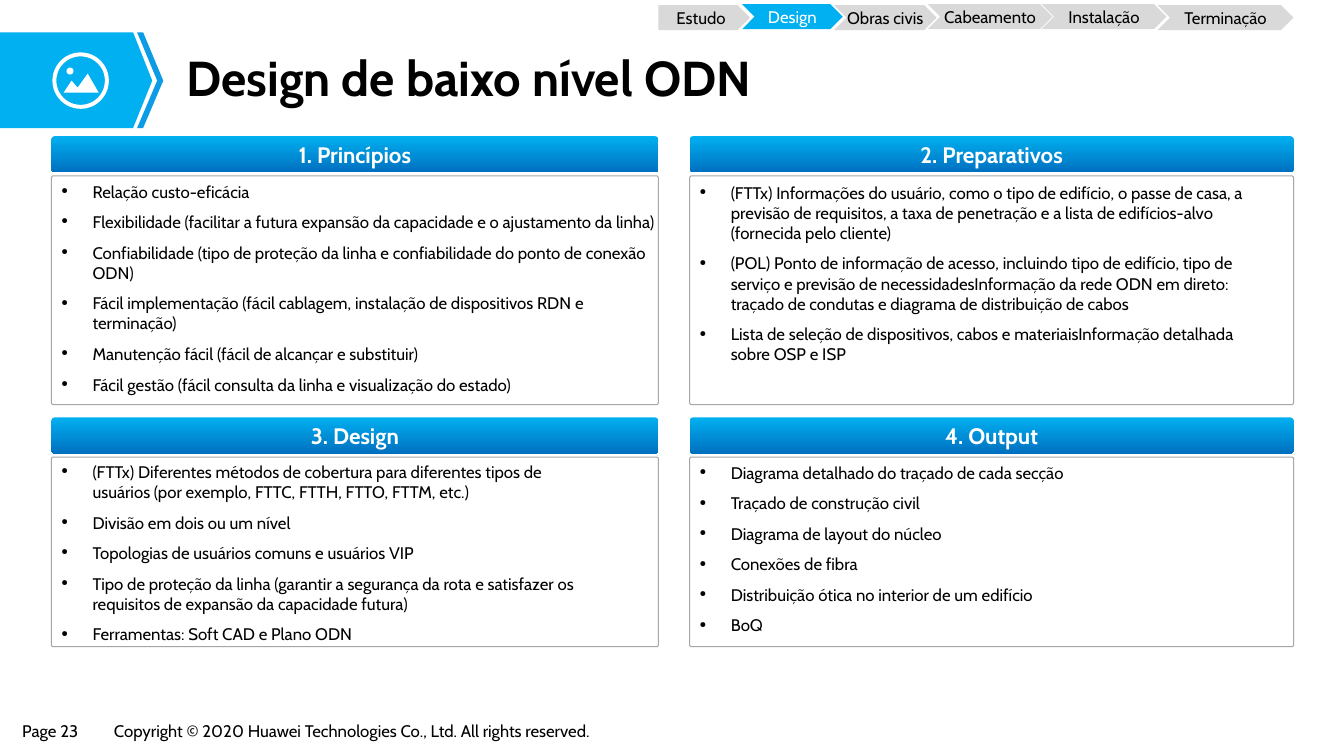
from dataclasses import dataclass

import pptx
import pptx.dml.color
import pptx.enum.shapes
import pptx.enum.text
import pptx.oxml
import pptx.oxml.ns
import pptx.util

Inches = pptx.util.Inches
Pt = pptx.util.Pt
SHAPE = pptx.enum.shapes.MSO_SHAPE
ALIGN = pptx.enum.text.PP_ALIGN
ANCHOR = pptx.enum.text.MSO_ANCHOR


@dataclass(frozen=True)
class Theme:
    font: str = "Cabin"
    black: str = "000000"
    white: str = "FFFFFF"
    cyan: str = "00B0F0"
    stripe: str = "0B9CE5"
    deep_blue: str = "0070C0"
    step_grey: str = "D9D9D9"
    border: str = "A6A6A6"
    title: float = 35
    heading: float = 16
    body: float = 12


@dataclass(frozen=True)
class Step:
    label: str
    left: float
    top: float
    width: float
    active: bool = False


@dataclass(frozen=True)
class Panel:
    heading: str
    column: int
    row: int
    text_top: float
    text_width: float
    items: tuple[str, ...]


THEME = Theme()
COLUMNS = ((0.51, 6.02), (6.84, 5.99))  # left, width
ROWS = ((1.35, 2.27), (4.14, 1.88))  # heading top, frame height
HEADING_HEIGHT = 0.36

STEPS = (
    Step("Estudo", 6.53, 0.05, 0.91),
    Step("Design", 7.36, 0.04, 1.0, active=True),
    Step("Obras civis", 8.27, 0.05, 1.02),
    Step("Cabeamento", 9.2, 0.04, 1.24),
    Step("Instalação", 10.33, 0.04, 1.24),
    Step("Terminação", 11.48, 0.05, 1.35),
)

PANELS = (
    Panel("1. Princípios", 0, 0, 1.75, 6.15, (
        "Relação custo-eficácia",
        "Flexibilidade (facilitar a futura expansão da capacidade e o ajustamento da linha)",
        "Confiabilidade (tipo de proteção da linha e confiabilidade do ponto de conexão ODN)",
        "Fácil implementação (fácil cablagem, instalação de dispositivos RDN e terminação)",
        "Manutenção fácil (fácil de alcançar e substituir)",
        "Fácil gestão (fácil consulta da linha e visualização do estado)",
    )),
    Panel("2. Preparativos", 1, 0, 1.76, 5.84, (
        "(FTTx) Informações do usuário, como o tipo de edifício, o passe de casa, a previsão "
        "de requisitos, a taxa de penetração e a lista de edifícios-alvo (fornecida pelo cliente)",
        "(POL) Ponto de informação de acesso, incluindo tipo de edifício, tipo de serviço e "
        "previsão de necessidadesInformação da rede ODN em direto: traçado de condutas e "
        "diagrama de distribuição de cabos",
        "Lista de seleção de dispositivos, cabos e materiaisInformação detalhada sobre OSP e ISP",
    )),
    Panel("3. Design", 0, 1, 4.53, 5.47, (
        "(FTTx) Diferentes métodos de cobertura para diferentes tipos de usuários "
        "(por exemplo, FTTC, FTTH, FTTO, FTTM, etc.)",
        "Divisão em dois ou um nível",
        "Topologias de usuários comuns e usuários VIP",
        "Tipo de proteção da linha (garantir a segurança da rota e satisfazer os requisitos "
        "de expansão da capacidade futura)",
        "Ferramentas: Soft CAD e Plano ODN",
    )),
    Panel("4. Output", 1, 1, 4.54, 5.84, (
        "Diagrama detalhado do traçado de cada secção",
        "Traçado de construção civil",
        "Diagrama de layout do núcleo",
        "Conexões de fibra",
        "Distribuição ótica no interior de um edifício",
        "BoQ",
    )),
)


def rgb(value: str) -> pptx.dml.color.RGBColor:
    return pptx.dml.color.RGBColor.from_string(value)


def add_bullet(p) -> None:
    pPr = p._p.get_or_add_pPr()
    pPr.set("marL", str(Inches(0.31)))
    pPr.set("indent", str(-Inches(0.31)))
    ns = pptx.oxml.ns.nsdecls("a")
    pPr.append(pptx.oxml.parse_xml(f'<a:buSzPct {ns} val="50000"/>'))
    pPr.append(pptx.oxml.parse_xml(f'<a:buChar {ns} char="●"/>'))


def write(tf, *lines: str, size: float = THEME.body, color: str = THEME.black,
          bold: bool = False, align=ALIGN.LEFT, anchor=ANCHOR.TOP, wrap: bool = True,
          margins: tuple[float, float] = (0.1, 0.05), bullets: bool = False,
          line_spacing: float | None = None) -> None:
    tf.word_wrap = wrap
    tf.auto_size = pptx.enum.text.MSO_AUTO_SIZE.NONE
    tf.vertical_anchor = anchor
    tf.margin_left = tf.margin_right = Inches(margins[0])
    tf.margin_top = tf.margin_bottom = Inches(margins[1])
    for i, line in enumerate(lines):
        p = tf.add_paragraph() if i else tf.paragraphs[0]
        p.alignment = align
        p.space_before = Pt(7.4 if i else 0)
        if line_spacing:
            p.line_spacing = line_spacing
        if bullets:
            add_bullet(p)
        r = p.add_run()
        r.text = line
        r.font.name = THEME.font
        r.font.size = Pt(size)
        r.font.bold = bold
        r.font.color.rgb = rgb(color)


def paint(sp, fill: str | None) -> None:
    sp.shadow.inherit = False
    sp.line.fill.background()
    if fill:
        sp.fill.solid()
        sp.fill.fore_color.rgb = rgb(fill)
    else:
        sp.fill.background()


def add_shape(s, kind, box: tuple[float, ...], fill: str | None = None,
              adj: float | None = None):
    sp = s.shapes.add_shape(kind, *map(Inches, box))
    paint(sp, fill)
    if adj is not None:
        sp.adjustments[0] = adj
    return sp


def add_outline(s, points: tuple[tuple[float, float], ...], fill: str) -> None:
    start, *rest = [(Inches(x), Inches(y)) for x, y in points]
    builder = s.shapes.build_freeform(*start)
    builder.add_line_segments(rest, close=True)
    paint(builder.convert_to_shape(), fill)


def add_text(s, box: tuple[float, ...], *lines: str, **fmt) -> None:
    write(s.shapes.add_textbox(*map(Inches, box)).text_frame, *lines, **fmt)


def add_badge(s) -> None:
    add_outline(s, ((0, 0.32), (1.32, 0.32), (1.51, 0.8), (1.32, 1.27), (0, 1.27)), THEME.cyan)
    add_outline(s, ((1.36, 0.32), (1.42, 0.32), (1.62, 0.8), (1.42, 1.27), (1.36, 1.27),
                    (1.56, 0.8)), THEME.stripe)
    # Landscape icon
    add_shape(s, SHAPE.DONUT, (0.52, 0.52, 0.56, 0.56), THEME.white, adj=0.07)
    add_outline(s, ((0.63, 0.92), (0.71, 0.8), (0.77, 0.87), (0.87, 0.73), (0.98, 0.92)),
                THEME.white)
    add_shape(s, SHAPE.OVAL, (0.66, 0.67, 0.07, 0.07), THEME.white)


def add_panel(s, panel: Panel) -> None:
    left, width = COLUMNS[panel.column]
    top, height = ROWS[panel.row]
    add_text(s, (left, panel.text_top, panel.text_width, height), *panel.items, bullets=True)

    heading = add_shape(s, SHAPE.ROUNDED_RECTANGLE, (left, top, width, HEADING_HEIGHT), adj=0.106)
    heading.fill.gradient()
    heading.fill.gradient_angle = 270
    for stop, color in zip(heading.fill.gradient_stops, (THEME.cyan, THEME.deep_blue)):
        stop.color.rgb = rgb(color)
    write(heading.text_frame, panel.heading, size=THEME.heading, color=THEME.white,
          bold=True, align=ALIGN.CENTER, anchor=ANCHOR.MIDDLE)

    frame = add_shape(s, SHAPE.ROUNDED_RECTANGLE, (left, top + 0.395, width, height), adj=0.009)
    frame.line.color.rgb = rgb(THEME.border)
    frame.line.width = Pt(0.75)


def add_step(s, step: Step, first: bool) -> None:
    sp = add_shape(s, SHAPE.PENTAGON if first else SHAPE.CHEVRON,
                   (step.left, step.top, step.width, 0.25),
                   THEME.cyan if step.active else THEME.step_grey)
    write(sp.text_frame, step.label, color=THEME.white if step.active else THEME.black,
          align=ALIGN.CENTER, anchor=ANCHOR.MIDDLE, margins=(0, 0))


def main() -> None:
    prs = pptx.Presentation()
    prs.slide_width, prs.slide_height = Inches(13.33), Inches(7.5)
    s = prs.slides.add_slide(prs.slide_layouts[5])

    # Title and badge
    title = s.shapes.title
    title.left, title.top, title.width, title.height = map(Inches, (1.74, 0.45, 10.75, 0.7))
    write(title.text_frame, "Design de baixo nível ODN", size=THEME.title, bold=True,
          anchor=ANCHOR.MIDDLE, margins=(0.11, 0.06), line_spacing=0.9)
    add_badge(s)

    # Content panels
    for panel in PANELS:
        add_panel(s, panel)

    # Progress steps
    for i, step in enumerate(STEPS):
        add_step(s, step, first=i == 0)

    # Footer
    footer = {"wrap": False, "margins": (0.09, 0.04)}
    add_text(s, (0.13, 7.11, 0.81, 0.29), "Page 23", **footer)
    add_text(s, (1.04, 7.11, 5.41, 0.29),
             "Copyright © 2020 Huawei Technologies Co., Ltd. All rights reserved.", **footer)

    prs.save("out.pptx")


if __name__ == "__main__":
    main()
